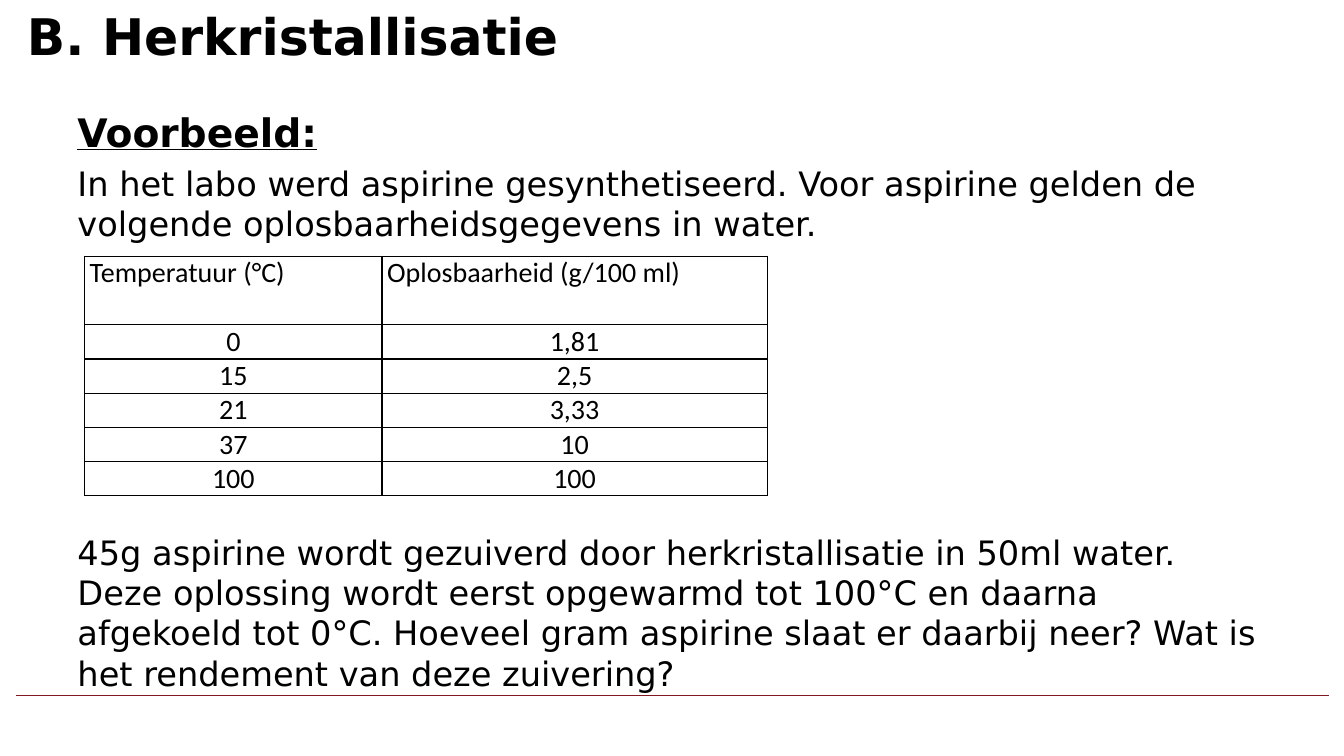
"""Build the slide on recrystallisation with its solubility table."""
from dataclasses import dataclass

import lxml.etree
import pptx
import pptx.dml.color
import pptx.enum.shapes
import pptx.enum.text
import pptx.oxml.ns
import pptx.slide
import pptx.table
import pptx.text.text
import pptx.util

SLIDE_WIDTH = pptx.util.Inches(13.33)
SLIDE_HEIGHT = pptx.util.Inches(7.5)
GRID = 100
ALIGN = pptx.enum.text.PP_ALIGN
ANCHOR = pptx.enum.text.MSO_ANCHOR


@dataclass(frozen=True)
class Theme:
    ink: str = "000000"
    rule: str = "811A20"
    text_font: str = "DejaVu Sans"
    table_font: str = "Calibri"
    title_size: float = 36
    heading_size: float = 28
    body_size: float = 24
    table_size: float = 20
    rule_width: float = 0.25
    border_width: float = 1


@dataclass(frozen=True)
class Area:
    column: float
    row: float
    columns: float
    rows: float


@dataclass(frozen=True)
class Line:
    text: str
    size: float
    bold: bool = False
    underline: bool = False
    space_before: float = 0


@dataclass(frozen=True)
class TextBlock:
    area: Area
    lines: tuple[Line, ...]
    anchor: ANCHOR = ANCHOR.TOP


THEME = Theme()
TEXT_BLOCKS = (
    TextBlock(
        Area(5.03, 14.36, 90, 18),
        (
            Line("Voorbeeld:", THEME.heading_size, bold=True, underline=True),
            Line(
                "In het labo werd aspirine gesynthetiseerd. Voor aspirine gelden de "
                "volgende oplosbaarheidsgegevens in water.",
                THEME.body_size,
                space_before=5,
            ),
        ),
    ),
    TextBlock(
        Area(5.03, 70.33, 90, 22),
        (
            Line(
                "45g aspirine wordt gezuiverd door herkristallisatie in 50ml water. "
                "Deze oplossing wordt eerst opgewarmd tot 100°C en daarna afgekoeld "
                "tot 0°C. Hoeveel gram aspirine slaat er daarbij neer? Wat is het "
                "rendement van deze zuivering?",
                THEME.body_size,
            ),
        ),
    ),
    TextBlock(
        Area(1.27, 0.67, 98.35, 8),
        (Line("B. Herkristallisatie", THEME.title_size, bold=True),),
        ANCHOR.MIDDLE,
    ),
)
SOLUBILITY = (
    ("Temperatuur (°C)", "Oplosbaarheid (g/100 ml)"),
    ("0", "1,81"),
    ("15", "2,5"),
    ("21", "3,33"),
    ("37", "10"),
    ("100", "100"),
)
TABLE_COLUMNS = (22.13, 28.66)
TABLE_ROW = 4.53
TABLE_ROWS = (2 * TABLE_ROW,) + (TABLE_ROW,) * (len(SOLUBILITY) - 1)
TABLE_AREA = Area(6.3, 33.9, sum(TABLE_COLUMNS), sum(TABLE_ROWS))
RULE_AREA = Area(1.2, 92, 97.67, 0)


def across(columns: float) -> int:
    """Turn grid columns into a length."""
    return round(SLIDE_WIDTH * columns / GRID)


def down(rows: float) -> int:
    """Turn grid rows into a length."""
    return round(SLIDE_HEIGHT * rows / GRID)


def box(area: Area) -> tuple[int, int, int, int]:
    """Return left, top, width and height of an area."""
    return across(area.column), down(area.row), across(area.columns), down(area.rows)


def write_text(
    paragraph: pptx.text.text._Paragraph,
    text: str,
    *,
    size: float,
    font: str = THEME.text_font,
    bold: bool = False,
    underline: bool = False,
    align: ALIGN = ALIGN.LEFT,
    space_before: float = 0,
) -> None:
    """Write formatted text into a paragraph."""
    paragraph.alignment = align
    paragraph.space_before = pptx.util.Pt(space_before)
    run = paragraph.add_run()
    run.text = text
    run.font.name = font
    run.font.size = pptx.util.Pt(size)
    run.font.bold = bold
    run.font.underline = underline
    run.font.color.rgb = pptx.dml.color.RGBColor.from_string(THEME.ink)


def add_rule(slide: pptx.slide.Slide) -> None:
    """Draw the thin line at the foot of the slide."""
    left, top, width, height = box(RULE_AREA)
    rule = slide.shapes.add_connector(
        pptx.enum.shapes.MSO_CONNECTOR.STRAIGHT, left, top, left + width, top + height
    )
    rule.line.color.rgb = pptx.dml.color.RGBColor.from_string(THEME.rule)
    rule.line.width = pptx.util.Pt(THEME.rule_width)
    lxml.etree.SubElement(rule._element.spPr, pptx.oxml.ns.qn("a:effectLst"))


def add_text_block(slide: pptx.slide.Slide, block: TextBlock) -> None:
    """Add a text box with one paragraph per line."""
    frame = slide.shapes.add_textbox(*box(block.area)).text_frame
    frame.word_wrap = True
    frame.vertical_anchor = block.anchor
    frame.margin_top = frame.margin_bottom = 0
    for index, line in enumerate(block.lines):
        paragraph = frame.add_paragraph() if index else frame.paragraphs[0]
        write_text(
            paragraph, line.text, size=line.size, bold=line.bold,
            underline=line.underline, space_before=line.space_before,
        )


def add_borders(cell: pptx.table._Cell) -> None:
    """Draw a line on each side of a cell."""
    properties = cell._tc.get_or_add_tcPr()
    for index, side in enumerate(("a:lnL", "a:lnR", "a:lnT", "a:lnB")):
        border = lxml.etree.Element(
            pptx.oxml.ns.qn(side), w=str(pptx.util.Pt(THEME.border_width))
        )
        fill = lxml.etree.SubElement(border, pptx.oxml.ns.qn("a:solidFill"))
        lxml.etree.SubElement(fill, pptx.oxml.ns.qn("a:srgbClr"), val=THEME.ink)
        properties.insert(index, border)


def add_solubility_table(slide: pptx.slide.Slide) -> None:
    """Add the table of solubility by temperature."""
    table = slide.shapes.add_table(
        len(TABLE_ROWS), len(TABLE_COLUMNS), *box(TABLE_AREA)
    ).table
    table.first_row = table.horz_banding = False
    for column, width in zip(table.columns, TABLE_COLUMNS):
        column.width = across(width)
    for index, (row, height, values) in enumerate(zip(table.rows, TABLE_ROWS, SOLUBILITY)):
        row.height = down(height)
        for cell, value in zip(row.cells, values):
            cell.margin_left = cell.margin_right = pptx.util.Inches(0.05)
            cell.margin_top = cell.margin_bottom = 0
            cell.fill.background()
            add_borders(cell)
            write_text(
                cell.text_frame.paragraphs[0], value, size=THEME.table_size,
                font=THEME.table_font, align=ALIGN.CENTER if index else ALIGN.LEFT,
            )


def main() -> None:
    """Build and save the presentation."""
    presentation = pptx.Presentation()
    presentation.slide_width = SLIDE_WIDTH
    presentation.slide_height = SLIDE_HEIGHT
    slide = presentation.slides.add_slide(presentation.slide_layouts[6])
    add_rule(slide)
    for block in TEXT_BLOCKS:
        add_text_block(slide, block)
    add_solubility_table(slide)
    presentation.save("out.pptx")


if __name__ == "__main__":
    main()
